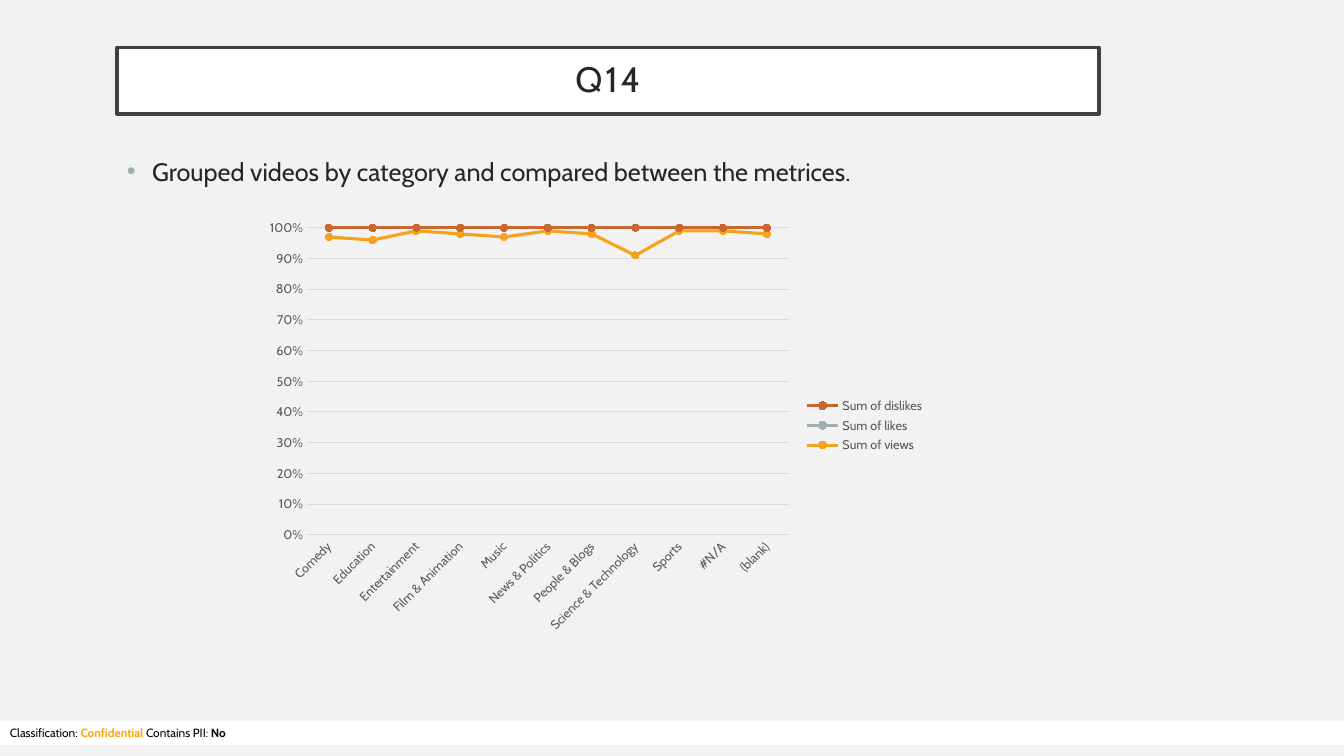
from pptx import Presentation
from pptx import util as u
from pptx.chart.data import CategoryChartData
from pptx.dml.color import RGBColor
from pptx.enum import chart as ch, shapes, text
from pptx.oxml import parse_xml
from pptx.oxml.ns import nsdecls

PX = 9144  # 100 px to the inch
THEME = {
    "font": "Cabin",
    "back": "F2F2F2", "white": "FFFFFF", "black": "000000", "alert": "FFA500",
    "ink": "262626", "frame": "404040", "label": "595959", "grid": "D9D9D9",
    "views": "F6A21D", "likes": "9BAFB5", "dislikes": "C96731",
    "title": 25.2, "body": 18, "axis": 9, "foot": 8.5,
}


def px(*vals):
    return [u.Emu(v * PX) for v in vals]


def style(font, size, color, bold=False):
    font.name, font.size, font.bold = THEME["font"], u.Pt(THEME[size]), bold
    font.color.rgb = RGBColor.from_string(THEME[color])


deck = Presentation()
deck.slide_width, deck.slide_height = px(1333, 750)
slide = deck.slides.add_slide(deck.slide_layouts[6])
slide.background.fill.solid()
slide.background.fill.fore_color.rgb = RGBColor.from_string(THEME["back"])

# White panels: footer strip and title box
panels = []
for box in [(0, 715, 1333, 24), (116, 47, 974, 66)]:
    panel = slide.shapes.add_shape(shapes.MSO_SHAPE.RECTANGLE, *px(*box))
    panel.shadow.inherit = False
    panel.fill.solid()
    panel.fill.fore_color.rgb = RGBColor.from_string(THEME["white"])
    panel.line.fill.background()
    panel.text_frame.vertical_anchor = text.MSO_ANCHOR.MIDDLE
    panels.append(panel)
foot, title = panels

# Footer wording
para = foot.text_frame.paragraphs[0]
para.alignment = text.PP_ALIGN.LEFT
for words, color, bold in [("Classification: ", "black", False),
                           ("Confidential", "alert", True),
                           (" Contains PII: ", "black", False),
                           ("No", "black", True)]:
    run = para.add_run()
    run.text = words
    style(run.font, "foot", color, bold)

# Title
title.line.color.rgb = RGBColor.from_string(THEME["frame"])
title.line.width = u.Pt(2.5)
frame = title.text_frame
frame.margin_left = frame.margin_right = frame.margin_top = frame.margin_bottom = px(20)[0]
para = frame.paragraphs[0]
para.text = "Q14"
para.alignment = text.PP_ALIGN.CENTER
para.line_spacing = 0.9
style(para.runs[0].font, "title", "ink")
para.runs[0].font._element.set("spc", "200")

# Bullet
body = slide.shapes.add_textbox(*px(116, 150, 974, 573))
body.text_frame.word_wrap = True
para = body.text_frame.paragraphs[0]
para.text = "Grouped videos by category and compared between the metrices."
para.space_before = u.Pt(10)
style(para.runs[0].font, "body", "ink")
props = para._p.get_or_add_pPr()
props.set("marL", str(25 * PX))
props.set("indent", str(-25 * PX))
for xml in [f'<a:buClr {nsdecls("a")}><a:srgbClr val="{THEME["likes"]}"/></a:buClr>',
            f'<a:buFont {nsdecls("a")} typeface="Arial"/>',
            f'<a:buChar {nsdecls("a")} char="•"/>']:
    props.append(parse_xml(xml))

# Chart data
data = CategoryChartData()
data.categories = ["Comedy", "Education", "Entertainment", "Film & Animation", "Music",
                   "News & Politics", "People & Blogs", "Science & Technology",
                   "Sports", "#N/A", "(blank)"]
views = [97, 96, 99, 98, 97, 99, 98, 91, 99, 99, 98]
data.add_series("Sum of views", views)
data.add_series("Sum of likes", [100 - v for v in views])
data.add_series("Sum of dislikes", [0] * len(views))
chart = slide.shapes.add_chart(ch.XL_CHART_TYPE.LINE_MARKERS_STACKED_100,
                               *px(254, 209, 673, 426), data).chart
chart.has_title = False
chart.font.name, chart.font.size = THEME["font"], u.Pt(10)
chart.plots[0].vary_by_categories = False

# Lines and markers
for line, name in zip(chart.plots[0].series, ["views", "likes", "dislikes"]):
    color = RGBColor.from_string(THEME[name])
    line.smooth = False
    line.format.line.color.rgb = color
    line.format.line.width = u.Pt(2.25)
    line.marker.style = ch.XL_MARKER_STYLE.CIRCLE
    line.marker.size = 5
    line.marker.format.fill.solid()
    line.marker.format.fill.fore_color.rgb = color
    line.marker.format.line.color.rgb = color

# Axes
cats, vals = chart.category_axis, chart.value_axis
for axis in (cats, vals):
    axis.major_tick_mark = axis.minor_tick_mark = ch.XL_TICK_MARK.NONE
    style(axis.tick_labels.font, "axis", "label")
vals.minimum_scale, vals.maximum_scale, vals.major_unit = 0, 1, 0.1
vals.tick_labels.number_format = "0%"
vals.tick_labels.number_format_is_linked = False
vals.format.line.fill.background()
vals.has_major_gridlines = True
for rule in (cats.format.line, vals.major_gridlines.format.line):
    rule.color.rgb = RGBColor.from_string(THEME["grid"])
    rule.width = u.Pt(0.75)
cats._element.txPr.bodyPr.set("rot", "-2700000")

# Legend
chart.has_legend = True
chart.legend.position = ch.XL_LEGEND_POSITION.RIGHT
chart.legend.include_in_layout = False
style(chart.legend.font, "axis", "label")

# Plot area as shares of the chart
area = chart._chartSpace.chart.plotArea
for old in area.findall("{*}layout"):
    area.remove(old)
spots = "".join(f'<c:{key} val="{val}"/>' for key, val in [
    ("layoutTarget", "inner"), ("xMode", "edge"), ("yMode", "edge"),
    ("x", 0.075), ("y", 0.04), ("w", 0.71), ("h", 0.715)])
area.insert(0, parse_xml(f'<c:layout {nsdecls("c")}><c:manualLayout>{spots}'
                         '</c:manualLayout></c:layout>'))

deck.save("out.pptx")
